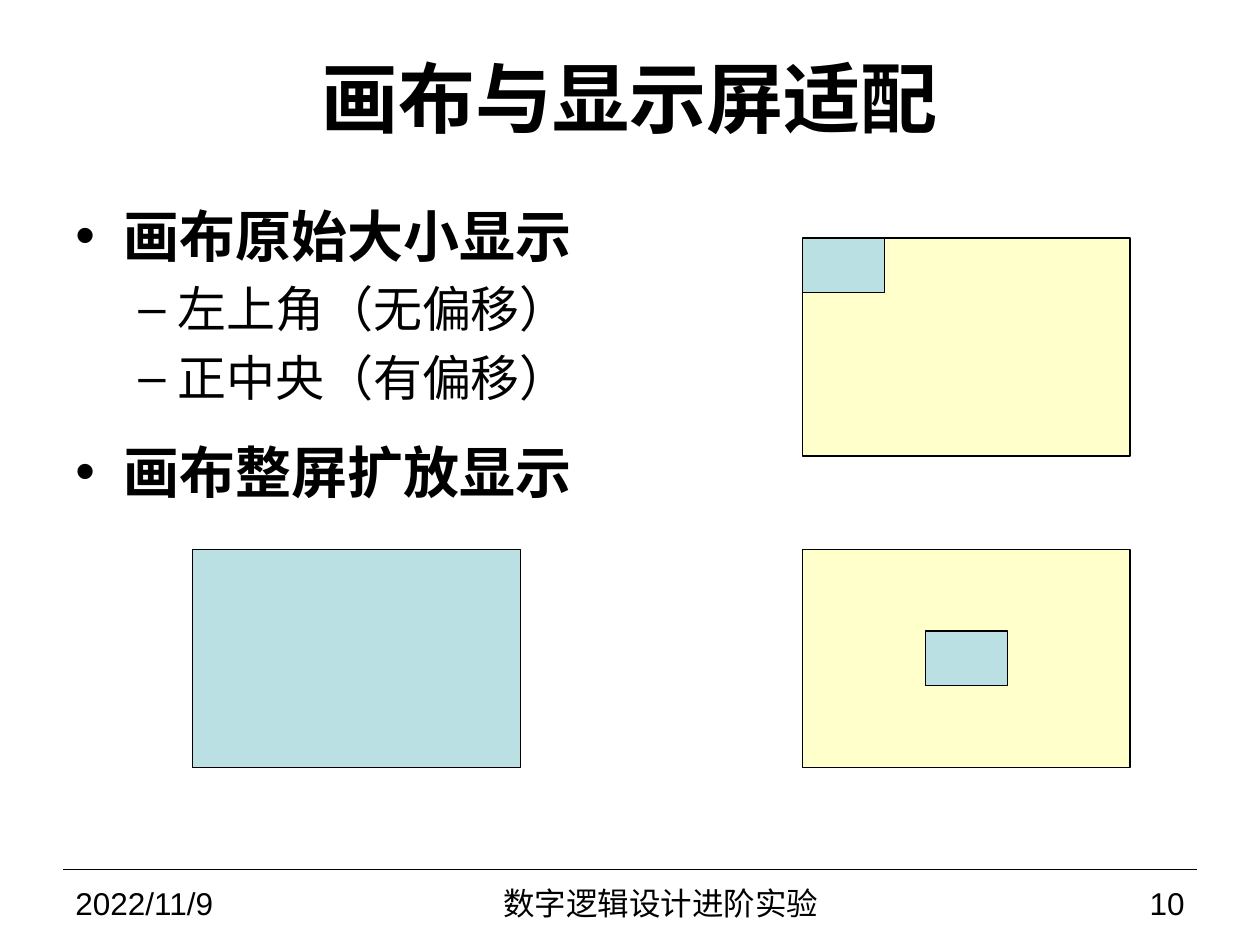
import dataclasses

import lxml.etree
import pptx
import pptx.dml.color
import pptx.enum.shapes
import pptx.enum.text
import pptx.oxml.ns
import pptx.util

Inches = pptx.util.Inches
Pt = pptx.util.Pt
ALIGN = pptx.enum.text.PP_ALIGN
ANCHOR = pptx.enum.text.MSO_ANCHOR


@dataclasses.dataclass(frozen=True)
class Theme:
    ink: str = "000000"
    screen: str = "FFFFCC"
    canvas: str = "BBE0E3"
    text_font: str = "Times New Roman"
    footer_font: str = "Arial"
    title_size: int = 44
    head_size: int = 32
    item_size: int = 28
    footer_size: int = 18
    line_width: float = 0.75


theme = Theme()


def color(value):
    return pptx.dml.color.RGBColor.from_string(value)


def add_text(para, text, font, size, bold=False):
    span = para.add_run()
    span.text = text
    span.font.name = font
    span.font.size = Pt(size)
    span.font.bold = bold
    span.font.color.rgb = color(theme.ink)


deck = pptx.Presentation()
deck.slide_width = Inches(10)
deck.slide_height = Inches(7.5)
page = deck.slides.add_slide(deck.slide_layouts[5])

# Footer rule
rule = page.shapes.add_connector(
    pptx.enum.shapes.MSO_CONNECTOR.STRAIGHT,
    Inches(0.5), Inches(6.9), Inches(9.5), Inches(6.9))
rule.line.color.rgb = color(theme.ink)
rule.line.width = Pt(theme.line_width)
lxml.etree.SubElement(rule._element.spPr, pptx.oxml.ns.qn("a:effectLst"))

# Title
title = page.shapes.title
title.left, title.top = Inches(0.5), Inches(0.3)
title.width, title.height = Inches(9), Inches(0.93)
title.text_frame.word_wrap = True
title.text_frame.auto_size = pptx.enum.text.MSO_AUTO_SIZE.NONE
title.text_frame.vertical_anchor = ANCHOR.MIDDLE
para = title.text_frame.paragraphs[0]
para.alignment = ALIGN.CENTER
add_text(para, "画布与显示屏适配", theme.text_font, theme.title_size, True)

# Footer texts
for left, width, alignment, text in (
    (0.5, 2.33, ALIGN.LEFT, "2022/11/9"),
    (2.83, 4.83, ALIGN.CENTER, "数字逻辑设计进阶实验"),
    (7.75, 1.75, ALIGN.RIGHT, "10"),
):
    box = page.shapes.add_textbox(
        Inches(left), Inches(6.98), Inches(width), Inches(0.37))
    box.text_frame.word_wrap = True
    box.text_frame.vertical_anchor = ANCHOR.MIDDLE
    para = box.text_frame.paragraphs[0]
    para.alignment = alignment
    add_text(para, text, theme.footer_font, theme.footer_size)

# Bullet list: level, space before, text
box = page.shapes.add_textbox(Inches(0.5), Inches(1.55), Inches(9), Inches(2.6))
box.text_frame.word_wrap = True
levels = (
    ("•", 0.38, 0.38, theme.head_size, True),
    ("–", 0.81, 0.31, theme.item_size, False),
)
for index, (level, space, text) in enumerate((
    (0, 0, "画布原始大小显示"),
    (1, 5.6, "左上角（无偏移）"),
    (1, 5.6, "正中央（有偏移）"),
    (0, 18, "画布整屏扩放显示"),
)):
    mark, margin, hang, size, bold = levels[level]
    para = box.text_frame.paragraphs[0] if index == 0 else box.text_frame.add_paragraph()
    para.level = level
    para.space_before = Pt(space)
    properties = para._p.get_or_add_pPr()
    properties.set("marL", str(Inches(margin)))
    properties.set("indent", str(-Inches(hang)))
    for tag, key, value in (("a:buFont", "typeface", theme.footer_font),
                            ("a:buChar", "char", mark)):
        lxml.etree.SubElement(properties, pptx.oxml.ns.qn(tag)).set(key, value)
    add_text(para, text, theme.text_font, size, bold)

# Screens and canvases; a small canvas is a quarter of the screen each way
screen_width, screen_height = 2.6, 1.73
small_width, small_height = screen_width / 4, screen_height / 4
right, upper, lower = 6.37, 1.89, 4.36
for left, top, width, height, fill in (
    (right, upper, screen_width, screen_height, theme.screen),
    (right, lower, screen_width, screen_height, theme.screen),
    (1.53, lower, screen_width, screen_height, theme.canvas),
    (right, upper, small_width, small_height, theme.canvas),
    (right + (screen_width - small_width) / 2,
     lower + (screen_height - small_height) / 2,
     small_width, small_height, theme.canvas),
):
    panel = page.shapes.add_shape(
        pptx.enum.shapes.MSO_SHAPE.RECTANGLE,
        Inches(left), Inches(top), Inches(width), Inches(height))
    panel.shadow.inherit = False
    panel.fill.solid()
    panel.fill.fore_color.rgb = color(fill)
    panel.line.color.rgb = color(theme.ink)
    panel.line.width = Pt(theme.line_width)

deck.save("out.pptx")
